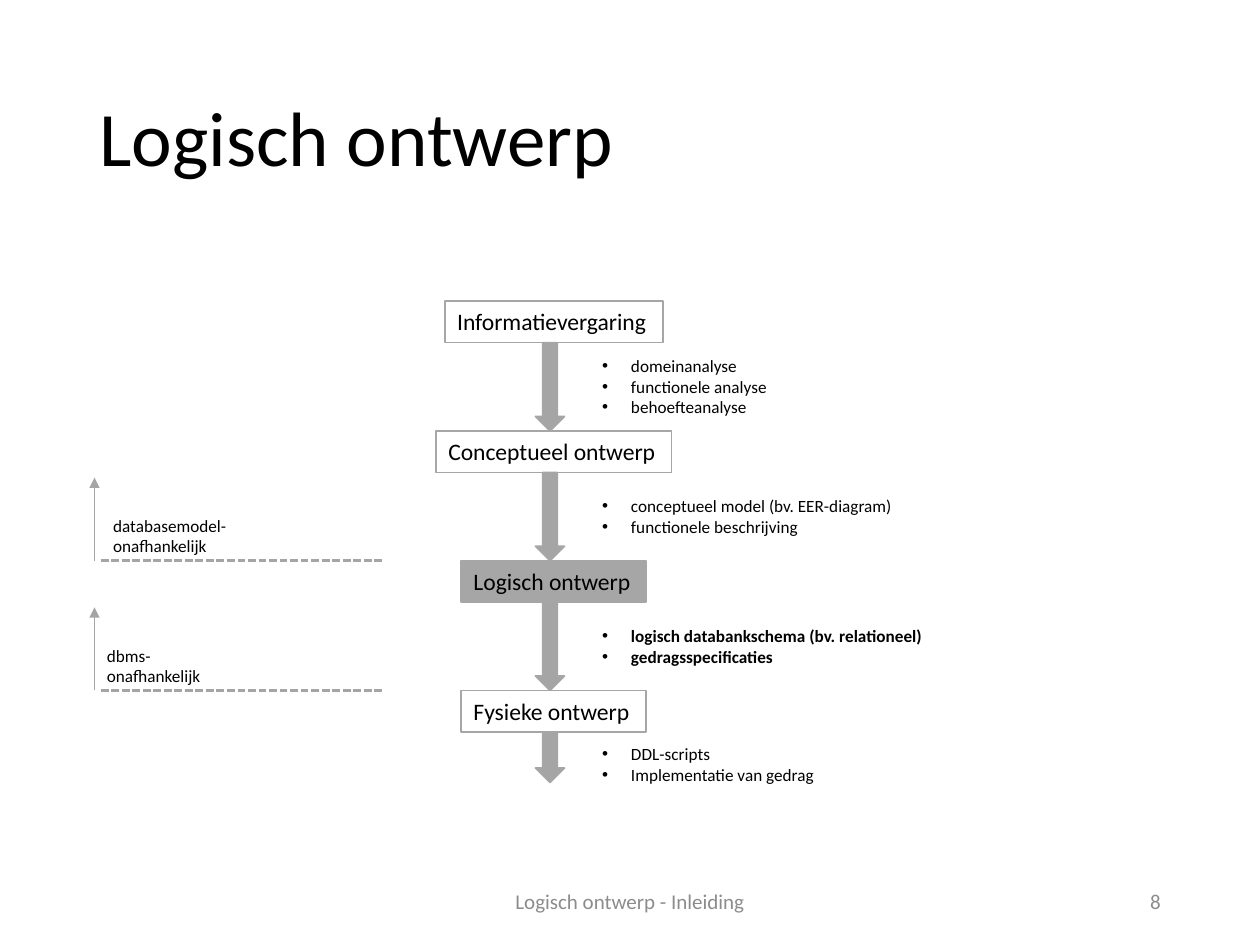
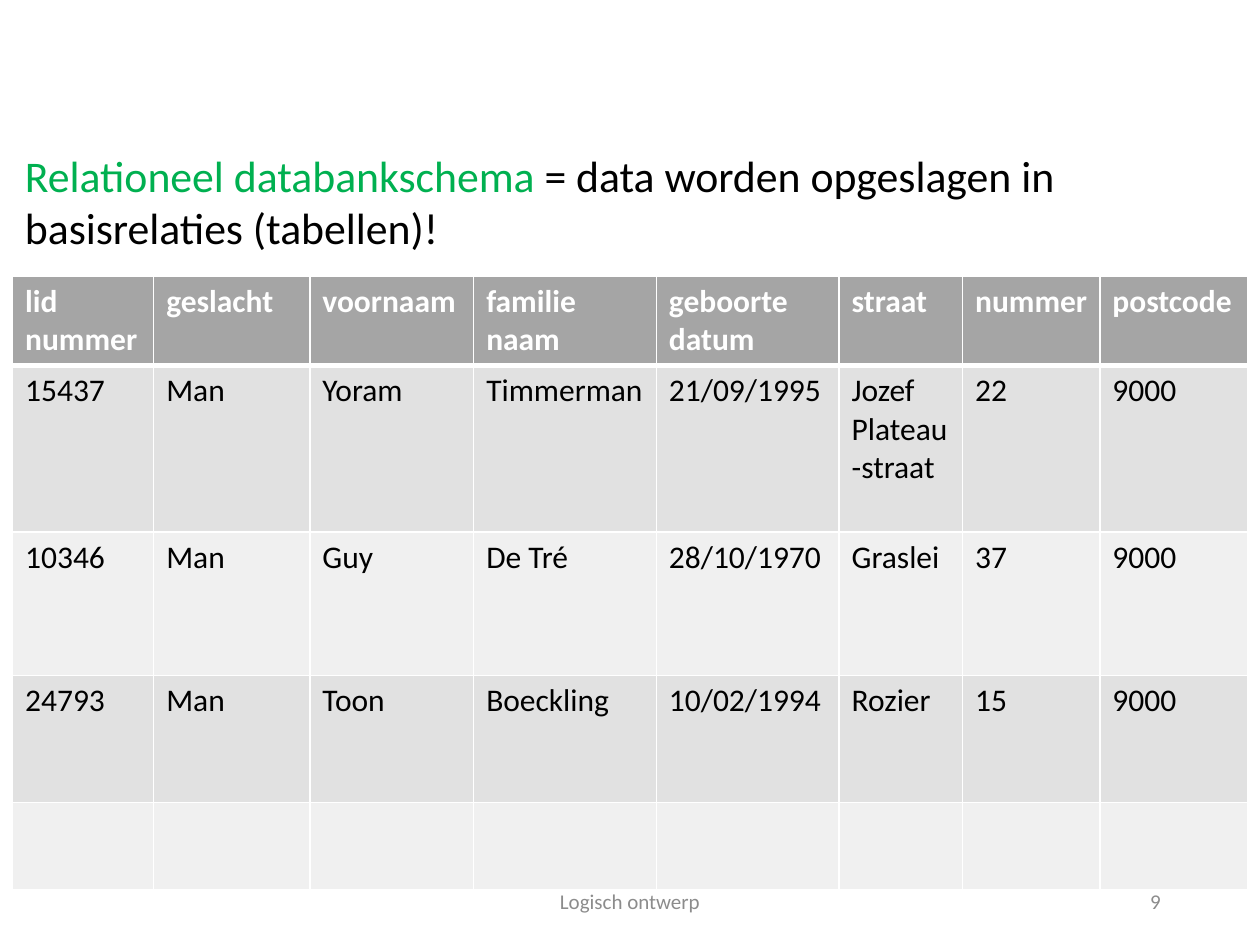
from lxml.etree import SubElement
from pptx import Presentation
from pptx.dml.color import RGBColor
from pptx.enum.dml import MSO_LINE
from pptx.enum.shapes import MSO_CONNECTOR, MSO_SHAPE
from pptx.enum.text import MSO_ANCHOR, MSO_AUTO_SIZE, PP_ALIGN
from pptx.oxml.ns import qn
from pptx.util import Inches, Pt

# Content
STAGES = [  # name, box width, results handed to the next stage
    ("Informatievergaring", 1.73,
     ["domeinanalyse", "functionele analyse", "behoefteanalyse"]),
    ("Conceptueel ontwerp", 1.87,
     ["conceptueel model (bv. EER-diagram)", "functionele beschrijving"]),
    ("Logisch ontwerp", 1.47,
     ["logisch databankschema (bv. relationeel)", "gedragsspecificaties"]),
    ("Fysieke ontwerp", 1.47, ["DDL-scripts", "Implementatie van gedrag"]),
]
CURRENT_STAGE = 2
INDEPENDENCE = [  # stage below the border, text, left edge, width
    (2, ["databasemodel-", "onafhankelijk"], 0.8, 1.1),
    (3, ["dbms-", "onafhankelijk"], 0.75, 0.95),
]
STATEMENT = ("Relationeel databankschema ",
             "= data worden opgeslagen in basisrelaties (tabellen)!")
MEMBERS = [
    ["lid\nnummer", "geslacht", "voornaam", "familie\nnaam",
     "geboorte\ndatum", "straat", "nummer", "postcode"],
    ["15437", "Man", "Yoram", "Timmerman", "21/09/1995",
     "Jozef\nPlateau-straat", "22", "9000"],
    ["10346", "Man", "Guy", "De Tré", "28/10/1970", "Graslei", "37", "9000"],
    ["24793", "Man", "Toon", "Boeckling", "10/02/1994", "Rozier", "15", "9000"],
    [""] * 8,
]
COLUMN_WIDTHS = [1.12, 1.24, 1.3, 1.45, 1.45, 0.98, 1.09, 1.17]
ROW_HEIGHTS = [0.7, 1.32, 1.14, 1.01, 0.69]

# Style
FONT = "Calibri"
BLACK = RGBColor(0x00, 0x00, 0x00)
WHITE = RGBColor(0xFF, 0xFF, 0xFF)
GREEN = RGBColor(0x00, 0xB0, 0x50)
GREY = RGBColor(0xA5, 0xA5, 0xA5)
OUTLINE = RGBColor(0xA6, 0xA6, 0xA6)
FOOTER_GREY = RGBColor(0x8C, 0x8C, 0x8C)
BANDS = [RGBColor(0xF0, 0xF0, 0xF0), RGBColor(0xE1, 0xE1, 0xE1)]
STAGE_SIZE, NOTE_SIZE, FOOTER_SIZE = 13.5, 9.8, 12

# Grid in inches
STAGE_TOP, STAGE_PITCH, STAGE_HEIGHT, STAGE_CENTRE = 2.39, 1.03, 0.33, 4.395
ARROW_LEFT, ARROW_WIDTH, LAST_ARROW = 4.25, 0.23, 0.4
NOTE_LEFT, NOTE_WIDTH, NOTE_INDENT = 4.68, 2.77, 0.23
BORDER_LEFT, BORDER_RIGHT, UP_ARROW_LEFT, UP_ARROW_HEIGHT = 0.8, 3.03, 0.75, 0.66
MARGIN, PAGE_WIDTH, PAGE_HEIGHT = 0.1, 10, 7.5


def add_span(para, text, size, color=BLACK, bold=False):
    span = para.add_run()
    span.text = text
    span.font.name = FONT
    span.font.size = Pt(size)
    span.font.color.rgb = color
    span.font.bold = bold


def add_paragraphs(frame, lines, size, color=BLACK, bold=False, bullets=False):
    for index, line in enumerate(lines):
        para = frame.add_paragraph() if index else frame.paragraphs[0]
        if bullets:
            properties = para._p.get_or_add_pPr()
            properties.set("marL", str(Inches(NOTE_INDENT)))
            properties.set("indent", str(-Inches(NOTE_INDENT)))
            SubElement(properties, qn("a:buFont")).set("typeface", "Arial")
            SubElement(properties, qn("a:buChar")).set("char", "•")
        add_span(para, line, size, color, bold)


def add_frame(page, left, top, width, height, wrap=True):
    box = page.shapes.add_textbox(*map(Inches, (left, top, width, height)))
    box.text_frame.word_wrap = wrap
    return box.text_frame


def add_shape(page, kind, left, top, width, height, fill):
    shape = page.shapes.add_shape(kind, *map(Inches, (left, top, width, height)))
    shape.shadow.inherit = False
    shape.fill.solid()
    shape.fill.fore_color.rgb = fill
    shape.line.color.rgb = OUTLINE
    shape.line.width = Pt(1)
    return shape


def add_line(page, start, end, width):
    line = page.shapes.add_connector(
        MSO_CONNECTOR.STRAIGHT, *map(Inches, (*start, *end)))
    line.line.color.rgb = GREY
    line.line.width = Pt(width)
    SubElement(line._element.spPr, qn("a:effectLst"))
    return line


def add_footer(page, text, number):
    for label, left, width, align in ((text, 3.31, 3.38, PP_ALIGN.CENTER),
                                      (number, 7.06, 2.25, PP_ALIGN.RIGHT)):
        frame = add_frame(page, left, 6.95, width, 0.4)
        frame.vertical_anchor = MSO_ANCHOR.MIDDLE
        frame.paragraphs[0].alignment = align
        add_span(frame.paragraphs[0], label, FOOTER_SIZE, FOOTER_GREY)


def format_title(page, text):
    title = page.shapes.title
    title.left, title.top, title.width, title.height = map(
        Inches, (0.69, 0.4, 8.62, 1.45))
    title.text_frame.vertical_anchor = MSO_ANCHOR.MIDDLE
    para = title.text_frame.paragraphs[0]
    para.alignment = PP_ALIGN.LEFT
    para.line_spacing = 0.9
    add_span(para, text, 44)


def stage_top(index):
    return STAGE_TOP + index * STAGE_PITCH


def add_stage(page, index, name, width, results):
    """Draw a stage box, the arrow under it and the results beside the arrow."""
    current = index == CURRENT_STAGE
    top = stage_top(index)
    box = add_shape(page, MSO_SHAPE.RECTANGLE, STAGE_CENTRE - width / 2, top,
                    width, STAGE_HEIGHT, OUTLINE if current else WHITE)
    frame = box.text_frame
    frame.word_wrap = False
    frame.auto_size = MSO_AUTO_SIZE.SHAPE_TO_FIT_TEXT
    frame.vertical_anchor = MSO_ANCHOR.TOP
    frame.paragraphs[0].alignment = PP_ALIGN.LEFT
    add_span(frame.paragraphs[0], name, STAGE_SIZE)

    arrow_top = top + STAGE_HEIGHT
    last = index == len(STAGES) - 1
    arrow_height = LAST_ARROW if last else STAGE_PITCH - STAGE_HEIGHT
    add_shape(page, MSO_SHAPE.DOWN_ARROW, ARROW_LEFT, arrow_top,
              ARROW_WIDTH, arrow_height, GREY)

    note_height = 0.1 + 0.165 * len(results)
    note_top = max(arrow_top + (arrow_height - note_height) / 2, arrow_top + 0.04)
    note = add_frame(page, NOTE_LEFT, note_top, NOTE_WIDTH, note_height)
    add_paragraphs(note, results, NOTE_SIZE, bold=current, bullets=True)


def add_independence(page, stage, lines, left, width):
    """Draw a dashed border with an arrow up and its label."""
    level = stage_top(stage)
    border = add_line(page, (BORDER_LEFT, level), (BORDER_RIGHT, level), 1.5)
    border.line.dash_style = MSO_LINE.SQUARE_DOT
    arrow = add_line(page, (UP_ARROW_LEFT, level),
                     (UP_ARROW_LEFT, level - UP_ARROW_HEIGHT), 1)
    SubElement(arrow.line._get_or_add_ln(), qn("a:tailEnd")).set("type", "triangle")
    label = add_frame(page, left, level - 0.41, width, 0.43, wrap=False)
    add_paragraphs(label, lines, NOTE_SIZE)


def set_borders(cell, header_row, below_header):
    """Give a cell white borders, thick between header and body."""
    widths = {"L": 1, "R": 1, "T": 3 if below_header else 1,
              "B": 3 if header_row else 1}
    properties = cell._tc.get_or_add_tcPr()
    for side, width in widths.items():
        line = SubElement(properties, qn(f"a:ln{side}"), w=str(Pt(width)))
        fill = SubElement(line, qn("a:solidFill"))
        SubElement(fill, qn("a:srgbClr")).set("val", str(WHITE))


def add_member_table(page):
    table = page.shapes.add_table(
        len(MEMBERS), len(COLUMN_WIDTHS), Inches(MARGIN), Inches(2.19),
        Inches(sum(COLUMN_WIDTHS)), Inches(sum(ROW_HEIGHTS))).table
    table.horz_banding = False
    for column, width in zip(table.columns, COLUMN_WIDTHS):
        column.width = Inches(width)
    for index, (row, height, values) in enumerate(
            zip(table.rows, ROW_HEIGHTS, MEMBERS)):
        row.height = Inches(height)
        header = index == 0
        for cell, value in zip(row.cells, values):
            set_borders(cell, header, index == 1)
            cell.fill.solid()
            cell.fill.fore_color.rgb = GREY if header else BANDS[index % 2]
            if value:
                add_paragraphs(cell.text_frame, value.split("\n"), 18,
                               WHITE if header else BLACK, header)


def build_design_page(deck):
    page = deck.slides.add_slide(deck.slide_layouts[5])
    format_title(page, "Logisch ontwerp")
    for index, stage in enumerate(STAGES):
        add_stage(page, index, *stage)
    for border in INDEPENDENCE:
        add_independence(page, *border)
    add_footer(page, "Logisch ontwerp - Inleiding", "8")


def build_schema_page(deck):
    page = deck.slides.add_slide(deck.slide_layouts[6])
    add_member_table(page)
    statement = add_frame(page, MARGIN, 1.13, PAGE_WIDTH - 2 * MARGIN, 0.94)
    for text, color in zip(STATEMENT, (GREEN, BLACK)):
        add_span(statement.paragraphs[0], text, 25, color)
    add_footer(page, "Logisch ontwerp", "9")


def main():
    deck = Presentation()
    deck.slide_width, deck.slide_height = Inches(PAGE_WIDTH), Inches(PAGE_HEIGHT)
    build_design_page(deck)
    build_schema_page(deck)
    deck.save("out.pptx")


if __name__ == "__main__":
    main()
